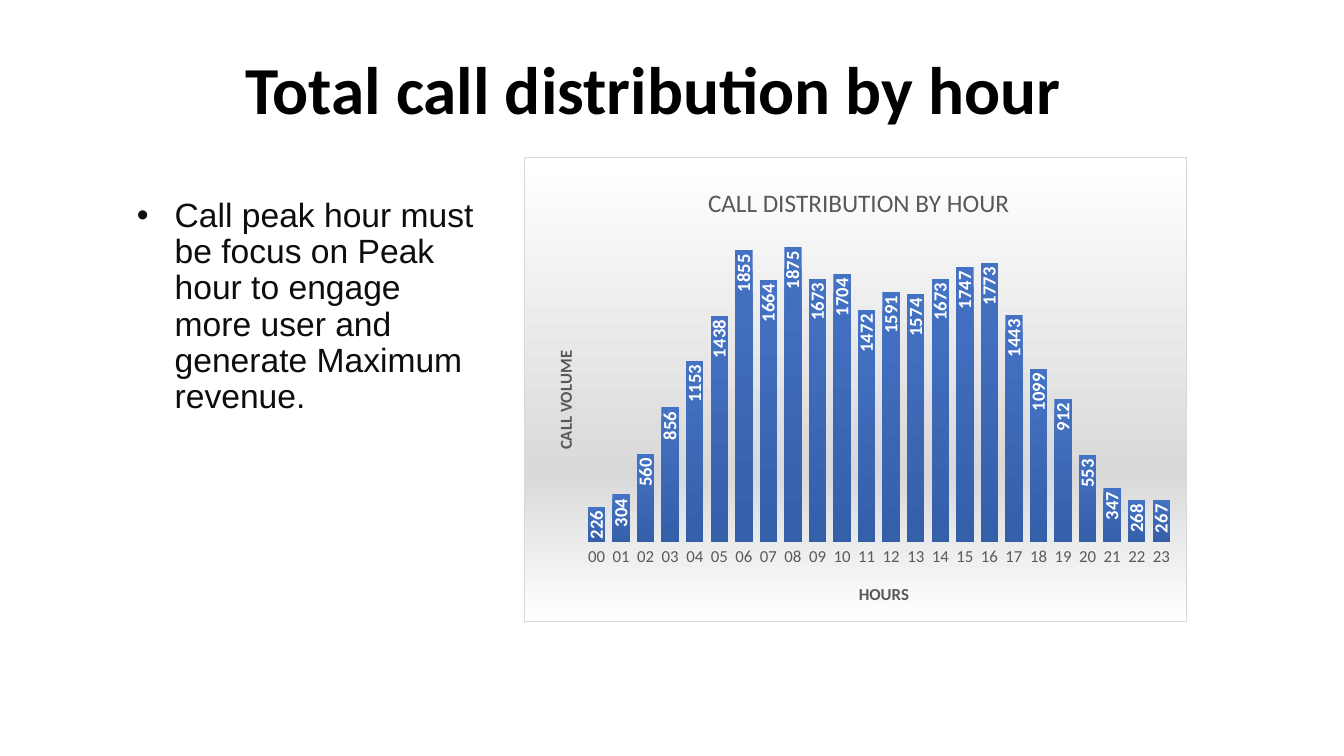
from lxml import etree
from pptx import Presentation
from pptx.chart.data import CategoryChartData
from pptx.dml.color import RGBColor
from pptx.enum.chart import XL_CHART_TYPE as ChartType, XL_LABEL_POSITION as LabelPos, XL_TICK_MARK as Tick
from pptx.enum.text import MSO_ANCHOR as Anchor, MSO_AUTO_SIZE as AutoSize, PP_ALIGN as Align
from pptx.oxml import parse_xml
from pptx.oxml.ns import nsdecls, qn
from pptx.util import Pt

CALLS = [226, 304, 560, 856, 1153, 1438, 1855, 1664, 1875, 1673, 1704, 1472,
         1591, 1574, 1673, 1747, 1773, 1443, 1099, 912, 553, 347, 268, 267]
GREY = "595959"


def color(value):
    """Return the colour of a hex string."""
    return RGBColor.from_string(value)


def style(font, size, fill, bold=False, face="Calibri"):
    """Set the look of a font."""
    font.name, font.size, font.bold = face, Pt(size), bold
    font.color.rgb = color(fill)


def write(frame, text, align=Align.LEFT, anchor=Anchor.TOP, bullet=None, spacing=None, **look):
    """Put one formatted paragraph into a text frame."""
    frame.text = text
    paragraph = frame.paragraphs[0]
    paragraph.alignment, paragraph.line_spacing = align, spacing
    if bullet:
        props = paragraph._p.get_or_add_pPr()
        props.set("marL", str(Pt(27)))
        props.set("indent", str(Pt(-27)))
        etree.SubElement(props, qn("a:buFont")).set("typeface", "Arial")
        etree.SubElement(props, qn("a:buChar")).set("char", bullet)
    style(paragraph.runs[0].font, **look)
    if anchor is not None:
        frame.word_wrap, frame.auto_size = True, AutoSize.NONE
        frame.vertical_anchor = anchor


def gradient(stops):
    """Return a top-to-bottom gradient fill from percent and colour pairs."""
    marks = "".join(f'<a:gs pos="{percent * 1000}"><a:srgbClr val="{value}"/></a:gs>'
                    for percent, value in stops)
    return (f'<a:gradFill {nsdecls("a")} rotWithShape="1"><a:gsLst>{marks}</a:gsLst>'
            '<a:lin ang="5400000" scaled="0"/></a:gradFill>')


def place(element, x, y, w=None, h=None):
    """Fix the position of a chart part as fractions of the chart."""
    parts = [("xMode", "edge"), ("yMode", "edge"), ("x", x), ("y", y)]
    if w:
        parts = [("layoutTarget", "inner"), *parts, ("w", w), ("h", h)]
    body = "".join(f'<c:{tag} val="{value}"/>' for tag, value in parts)
    layout = parse_xml(f'<c:layout {nsdecls("c")}><c:manualLayout>{body}</c:manualLayout></c:layout>')
    for old in element.findall(qn("c:layout")):
        element.remove(old)
    heading = element.find(qn("c:tx"))
    if heading is None:
        element.insert(0, layout)
    else:
        heading.addnext(layout)


def caption(heading, text, x, y, **look):
    """Write and place the title of a chart or axis."""
    write(heading.text_frame, text, align=None, anchor=None, **look)
    place(heading._element, x, y)


def add_heading(slide, left, top, width, height):
    """Fill the title placeholder."""
    title = slide.shapes.title
    title.left, title.top, title.width, title.height = map(Pt, (left, top, width, height))
    write(title.text_frame, "Total call distribution by hour", align=Align.CENTER,
          anchor=Anchor.BOTTOM, spacing=0.9, size=48, fill="000000", bold=True)


def add_advice(slide, left, top, width, height):
    """Add the bullet beside the chart."""
    advice = slide.shapes.add_textbox(*map(Pt, (left, top, width, height)))
    write(advice.text_frame,
          "Call peak hour must be focus on Peak hour to engage more user and generate Maximum revenue.",
          bullet="•", spacing=0.9, size=24, fill="0D0D0D", face="Arial")


def add_call_chart(slide, left, top, width, height):
    """Add the column chart of calls per hour."""
    data = CategoryChartData()
    data.categories = [f"{hour:02}" for hour in range(len(CALLS))]
    data.add_series("Calls", CALLS)
    chart = slide.shapes.add_chart(ChartType.COLUMN_CLUSTERED,
                                   *map(Pt, (left, top, width, height)), data).chart
    style(chart.font, 10, "000000")
    chart.has_legend = False
    chart.has_title = True
    caption(chart.chart_title, "CALL DISTRIBUTION BY HOUR", 0.27, 0.05, size=18, fill=GREY)

    hours, volume = chart.category_axis, chart.value_axis
    style(hours.tick_labels.font, 12, GREY)
    hours.major_tick_mark = hours.minor_tick_mark = Tick.NONE
    hours.format.line.fill.background()
    volume.minimum_scale, volume.maximum_scale = 0, 2000
    volume.has_major_gridlines = volume.visible = False
    caption(hours.axis_title, "HOURS", 0.5, 0.91, size=12, fill=GREY, bold=True)
    caption(volume.axis_title, "CALL VOLUME", 0.04, 0.41, size=12, fill=GREY, bold=True)
    turn = volume.axis_title.text_frame._txBody.bodyPr
    turn.set("rot", "-5400000")
    turn.set("vert", "horz")

    plot = chart.plots[0]
    plot.gap_width, plot.vary_by_categories = 41, False
    bars = plot.series[0]
    bars._element.get_or_add_spPr().append(parse_xml(gradient([(0, "4472C4"), (100, "355FA9")])))
    labels = bars.data_labels
    labels.show_value, labels.position = True, LabelPos.INSIDE_END
    style(labels.font, 13.3, "FFFFFF", bold=True)
    label_body = labels._element.find(qn("c:txPr")).find(qn("a:bodyPr"))
    label_body.set("rot", "-5400000")
    label_body.set("vert", "horz")

    space = chart._chartSpace
    place(space.chart.plotArea, 0.09, 0.15, 0.89, 0.68)
    backdrop = gradient([(0, "FFFFFF"), (68, "D9D9D9"), (100, "FFFFFF")])
    space.chart.addnext(parse_xml(
        f'<c:spPr {nsdecls("c", "a")}>{backdrop}<a:ln w="{Pt(0.75)}"><a:solidFill>'
        '<a:srgbClr val="D9D9D9"/></a:solidFill></a:ln></c:spPr>'))


def main():
    """Build and save the slide."""
    deck = Presentation()
    deck.slide_width, deck.slide_height = Pt(960), Pt(540)
    slide = deck.slides.add_slide(deck.slide_layouts[5])
    add_heading(slide, 90.7, 44.6, 751.7, 51.1)
    add_advice(slide, 90.7, 138.2, 261.4, 305.3)
    add_call_chart(slide, 374.4, 112.3, 473.8, 331.9)
    deck.save("out.pptx")


if __name__ == "__main__":
    main()
